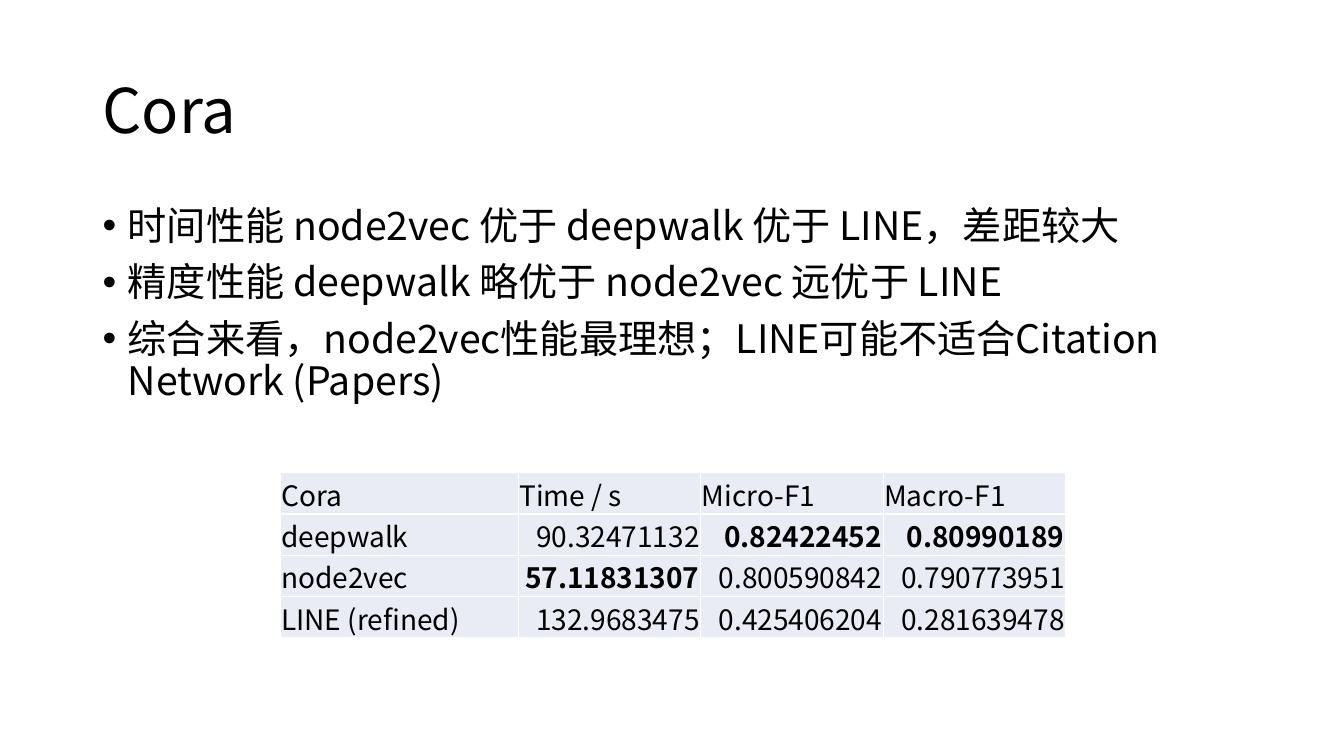
from lxml.etree import SubElement
from pptx import Presentation
from pptx.dml.color import RGBColor
from pptx.enum.text import MSO_ANCHOR as Anchor, PP_ALIGN as Align
from pptx.oxml import parse_xml
from pptx.oxml.ns import nsdecls, qn
from pptx.util import Pt

PX = 9144  # EMU per px, 100 px to the inch
FONT = "Noto Sans CJK SC"
COLORS = {"text": "000000", "cell": "E9EBF5", "border": "FFFFFF"}

FINDINGS = [
    "时间性能 node2vec 优于 deepwalk 优于 LINE，差距较大",
    "精度性能 deepwalk 略优于 node2vec 远优于 LINE",
    "综合来看，node2vec性能最理想；LINE可能不适合Citation Network (Papers)",
]
RESULTS = [
    ["Cora", "Time / s", "Micro-F1", "Macro-F1"],
    ["deepwalk", "90.32471132", "0.82422452", "0.80990189"],
    ["node2vec", "57.11831307", "0.800590842", "0.790773951"],
    ["LINE (refined)", "132.9683475", "0.425406204", "0.281639478"],
]
BEST = {"57.11831307", "0.82422452", "0.80990189"}


def px(*lengths):
    return [length * PX for length in lengths]


def style(paragraph, size, bold=False):
    font = paragraph.font
    font.size, font.bold, font.name = Pt(size), bold, FONT
    font.color.rgb = RGBColor.from_string(COLORS["text"])
    properties = paragraph._p.pPr.find(qn("a:defRPr"))
    SubElement(properties, qn("a:ea"), typeface=FONT)


def add_text(slide, box, lines, size, anchor=Anchor.TOP, bulleted=False):
    frame = slide.shapes.add_textbox(*px(*box)).text_frame
    frame.word_wrap = True
    frame.vertical_anchor = anchor
    frame.text = "\n".join(lines)
    for paragraph in frame.paragraphs:
        paragraph.line_spacing = 0.9
        style(paragraph, size)
        if bulleted:
            paragraph.space_before = Pt(10)
            add_bullet(paragraph)


def add_bullet(paragraph, indent=25):
    properties = paragraph._p.pPr
    properties.set("marL", str(indent * PX))
    properties.set("indent", str(-indent * PX))
    font = parse_xml(f'<a:buFont {nsdecls("a")} typeface="Arial"/>')
    bullet = parse_xml(f'<a:buChar {nsdecls("a")} char="•"/>')
    for element in (font, bullet):
        properties.find(qn("a:defRPr")).addprevious(element)


def add_borders(cell):
    for index, side in enumerate(("lnL", "lnR", "lnT", "lnB")):
        line = parse_xml(
            f'<a:{side} {nsdecls("a")} w="{Pt(1)}"><a:solidFill>'
            f'<a:srgbClr val="{COLORS["border"]}"/></a:solidFill></a:{side}>')
        cell._tc.get_or_add_tcPr().insert(index, line)


def add_results(slide, box, first_width):
    row_count, column_count = len(RESULTS), len(RESULTS[0])
    table = slide.shapes.add_table(row_count, column_count, *px(*box)).table
    table.first_row = table.horz_banding = False
    other_width = (box[2] - first_width) // (column_count - 1)
    for index, column in enumerate(table.columns):
        column.width = (other_width if index else first_width) * PX
    for row, values in enumerate(RESULTS):
        for column, value in enumerate(values):
            fill_cell(table.cell(row, column), value, numeric=row and column)


def fill_cell(cell, value, numeric):
    cell.margin_left = cell.margin_right = cell.margin_top = PX
    cell.margin_bottom = 0
    cell.vertical_anchor = Anchor.MIDDLE
    cell.fill.solid()
    cell.fill.fore_color.rgb = RGBColor.from_string(COLORS["cell"])
    add_borders(cell)
    cell.text = value
    paragraph = cell.text_frame.paragraphs[0]
    paragraph.alignment = Align.RIGHT if numeric else Align.LEFT
    style(paragraph, 20, bold=value in BEST)


def main():
    presentation = Presentation()
    presentation.slide_width, presentation.slide_height = px(1333, 750)
    slide = presentation.slides.add_slide(presentation.slide_layouts[6])
    add_text(slide, (92, 40, 1150, 145), ["Cora"], 44, Anchor.MIDDLE)
    add_text(slide, (92, 200, 1150, 476), FINDINGS, 28, bulleted=True)
    add_results(slide, (278, 469, 779, 164), first_width=236)
    presentation.save("out.pptx")


if __name__ == "__main__":
    main()
